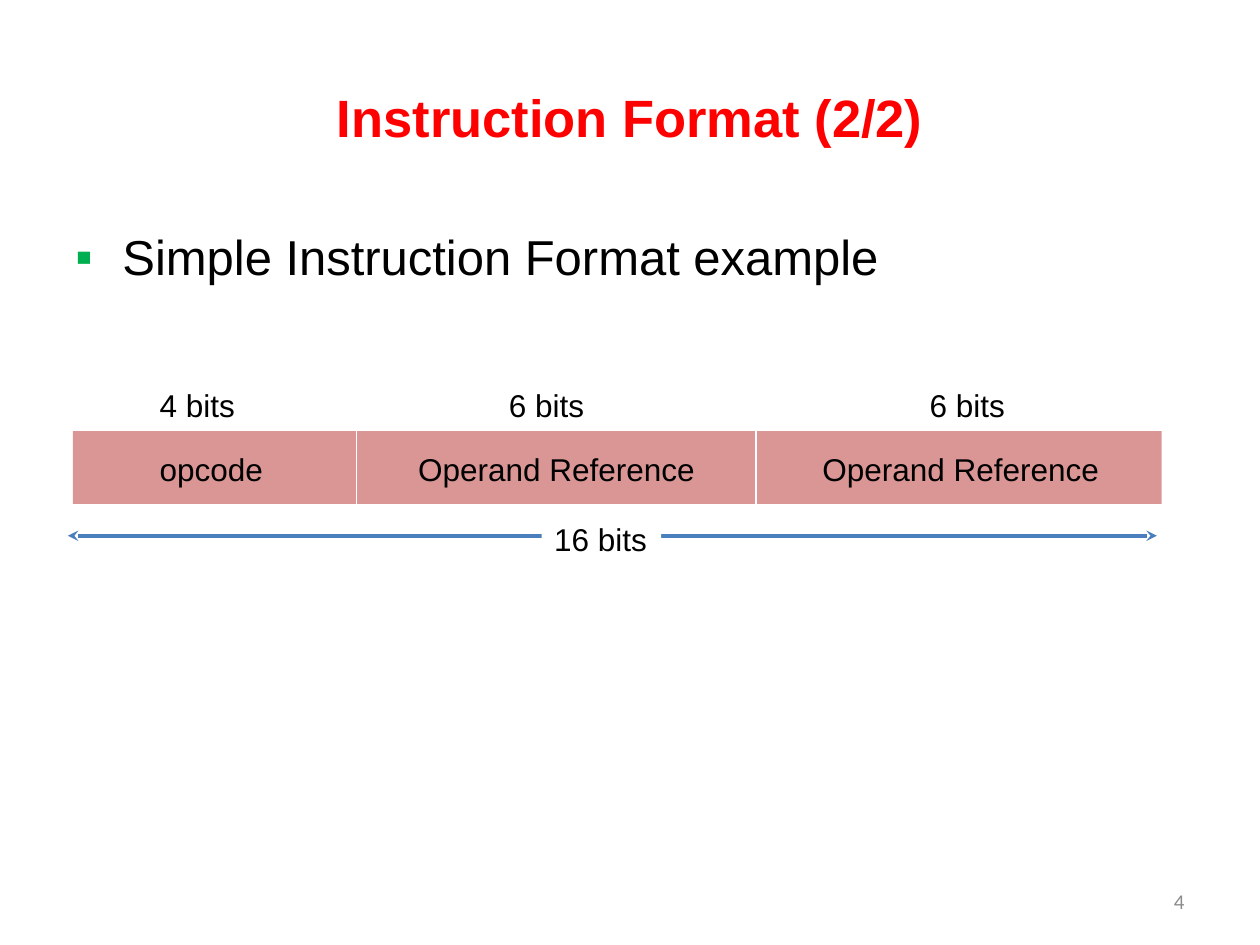
from dataclasses import dataclass, field

from lxml import etree
from pptx import Presentation
from pptx.dml.color import RGBColor
from pptx.enum.shapes import MSO_CONNECTOR, MSO_SHAPE
from pptx.enum.text import MSO_ANCHOR, MSO_AUTO_SIZE, PP_ALIGN
from pptx.oxml.ns import qn
from pptx.util import Cm, Pt

RED = RGBColor(0xFF, 0x00, 0x00)
BLACK = RGBColor(0x00, 0x00, 0x00)
WHITE = RGBColor(0xFF, 0xFF, 0xFF)
GREY = RGBColor(0x8C, 0x8C, 0x8C)
GREEN = RGBColor(0x00, 0xB0, 0x50)
ROSE = RGBColor(0xD9, 0x96, 0x94)
BLUE = RGBColor(0x4B, 0x7E, 0xBC)

LEFT, CENTER, RIGHT = PP_ALIGN.LEFT, PP_ALIGN.CENTER, PP_ALIGN.RIGHT
TOP, MIDDLE = MSO_ANCHOR.TOP, MSO_ANCHOR.MIDDLE
GROW = MSO_AUTO_SIZE.SHAPE_TO_FIT_TEXT
RECTANGLE, STRAIGHT = MSO_SHAPE.RECTANGLE, MSO_CONNECTOR.STRAIGHT


@dataclass
class Label:
    """A piece of text; lengths are in centimetres."""
    text: str
    left: float
    top: float
    width: float
    height: float = 1.02
    format: dict = field(default_factory=dict)
    align: PP_ALIGN = LEFT
    anchor: MSO_ANCHOR = TOP
    wrap: bool = False


@dataclass
class Field:
    """One field of the instruction word."""
    name: str
    name_left: float
    name_width: float
    bits: str
    bits_left: float


def write_text(shape, label: Label):
    frame = shape.text_frame
    frame.word_wrap = label.wrap
    frame.vertical_anchor = label.anchor
    if not label.wrap:
        frame.auto_size = GROW
    para = frame.paragraphs[0]
    para.alignment = label.align
    span = para.add_run()
    span.text = label.text
    values = {"name": "Arial", "size": Pt(18), "bold": False} | label.format
    color = values.pop("color", BLACK)
    for name, value in values.items():
        setattr(span.font, name, value)
    span.font.color.rgb = color
    return para


def add_label(page, label: Label):
    box = page.shapes.add_textbox(
        Cm(label.left), Cm(label.top), Cm(label.width), Cm(label.height))
    return write_text(box, label)


def add_block(page, left: float, top: float, width: float, height: float,
              color: RGBColor):
    block = page.shapes.add_shape(
        RECTANGLE, Cm(left), Cm(top), Cm(width), Cm(height))
    block.shadow.inherit = False
    block.fill.solid()
    block.fill.fore_color.rgb = color
    block.line.fill.background()
    return block


def add_line(page, start: tuple[float, float], end: tuple[float, float],
             color: RGBColor, width: float, arrows: bool = False) -> None:
    line = page.shapes.add_connector(
        STRAIGHT, *(Cm(value) for value in start + end))
    line.line.color.rgb = color
    line.line.width = Pt(width)
    if arrows:
        outline = line.line._get_or_add_ln()
        for tag in ("a:headEnd", "a:tailEnd"):
            etree.SubElement(outline, qn(tag), type="stealth")
    etree.SubElement(line._element.spPr, qn("a:effectLst"))


def add_bullet(para, char: str, color: RGBColor, indent: float) -> None:
    properties = para._p.get_or_add_pPr()
    properties.set("marL", str(Cm(indent)))
    properties.set("indent", str(-Cm(indent)))
    bullet_color = etree.SubElement(properties, qn("a:buClr"))
    etree.SubElement(bullet_color, qn("a:srgbClr"), val=str(color))
    etree.SubElement(properties, qn("a:buFont"), typeface="Arial")
    etree.SubElement(properties, qn("a:buChar"), char=char)


deck = Presentation()
deck.slide_width, deck.slide_height = Cm(25.4), Cm(19.05)
page = deck.slides.add_slide(deck.slide_layouts[6])

# Title, bullet and page number
add_label(page, Label(
    "Instruction Format (2/2)", 1.27, 0.76, 22.86, 3.18,
    {"size": Pt(30), "bold": True, "color": RED}, CENTER, MIDDLE, True))
topic = add_label(page, Label(
    "Simple Instruction Format example", 1.27, 4.45, 22.86, 12.57,
    {"size": Pt(28)}, wrap=True))
topic.space_before = Pt(5.6)
add_bullet(topic, "▪", GREEN, 0.95)
add_label(page, Label(
    "4", 18.21, 17.65, 5.92, 1.02,
    {"name": "Calibri", "size": Pt(12), "color": GREY}, RIGHT, MIDDLE, True))

# Instruction word with its dividers
BAR_LEFT, BAR_TOP, BAR_WIDTH, BAR_HEIGHT = 1.47, 8.69, 21.95, 1.47
add_block(page, BAR_LEFT, BAR_TOP, BAR_WIDTH, BAR_HEIGHT, ROSE)
for x in (7.19, 15.24):
    add_line(page, (x, BAR_TOP), (x, BAR_TOP + BAR_HEIGHT), WHITE, 0.75)

# Field names and sizes
FIELDS = [
    Field("opcode", 2.97, 2.62, "4 bits", 2.97),
    Field("Operand Reference", 8.18, 6.15, "6 bits", 10.01),
    Field("Operand Reference", 16.33, 6.15, "6 bits", 18.49),
]
for item in FIELDS:
    add_label(page, Label(item.name, item.name_left, 8.94, item.name_width))
    add_label(page, Label(item.bits, item.bits_left, 7.65, 2.06))

# Total width
add_line(page, (1.37, 10.8), (23.32, 10.8), BLUE, 2, arrows=True)
total = Label("16 bits", 10.92, 10.36, 2.41)
write_text(add_block(page, total.left, total.top, total.width, total.height,
                     WHITE), total)

deck.save("out.pptx")
